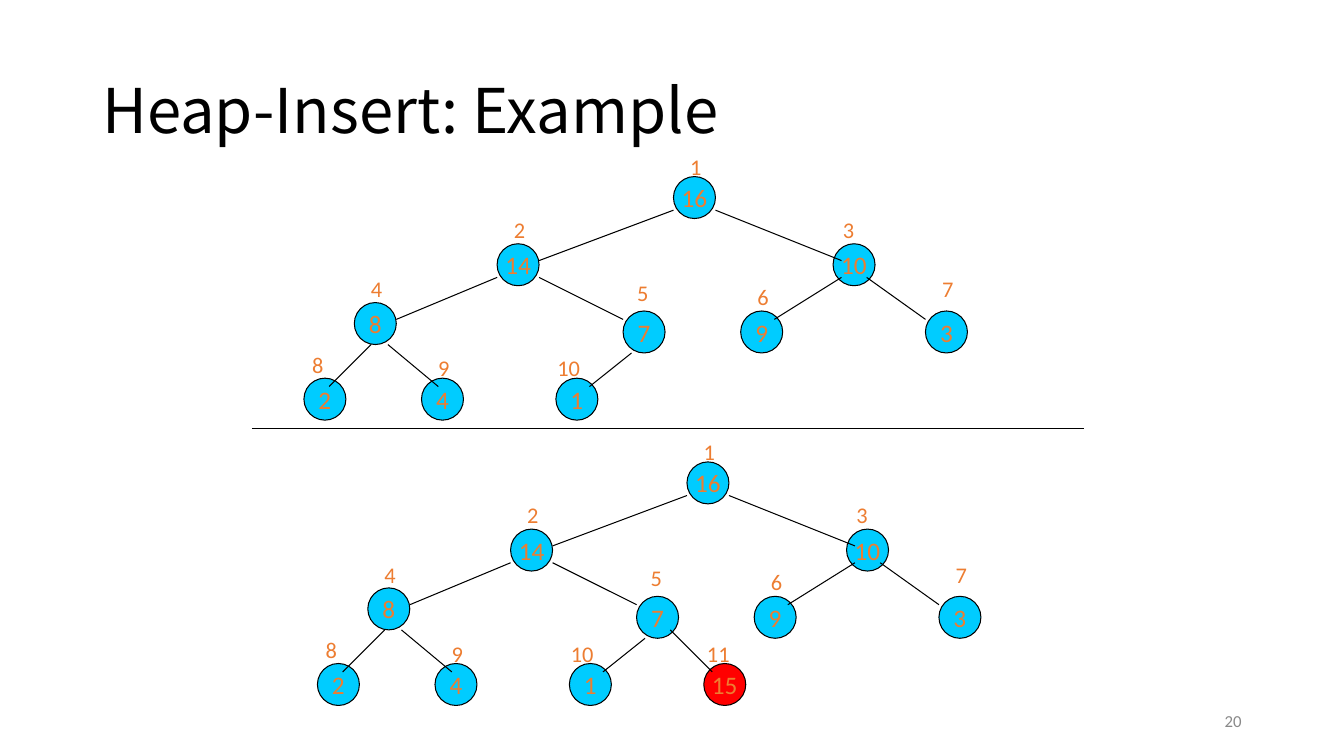
"""Build the Heap-Insert example slide: a heap before and after inserting 15."""
import lxml.etree
import pptx
import pptx.dml.color
import pptx.enum.shapes
import pptx.enum.text
import pptx.oxml.ns
import pptx.util

Cm = pptx.util.Cm
Pt = pptx.util.Pt
ALIGN = pptx.enum.text.PP_ALIGN
ANCHOR = pptx.enum.text.MSO_ANCHOR
STEP = 2.54 / 12
NODE_SIZE = 5 * STEP
COLORS = {"node": "00CCFF", "new": "FF0000", "line": "000000",
          "title": "000000", "label": "ED7D31", "page": "898989"}

HEAP_NODES = [("16", 44, 0), ("14", 23, 8), ("10", 63, 8), ("8", 6, 15),
              ("7", 38, 16), ("2", 0, 24), ("4", 14, 24), ("1", 30, 24),
              ("9", 52, 16), ("3", 74, 16)]
HEAP_EDGES = [(44, 4, 28, 10), (49, 4, 64, 10), (23, 12, 11, 17),
              (8, 20, 3, 25), (10, 20, 16, 25), (28, 12, 38, 17),
              (39, 21, 34, 25), (64, 12, 56, 17), (67, 12, 74, 17)]
HEAP_LABELS = [(44.8, -3.4), (23.8, 4.1), (63, 4.1), (6.8, 11.2), (38.5, 11.6),
               (52.8, 12.1), (74.8, 11.2), (-0.2, 20.2), (14.8, 20.6), (29, 20.6)]
NEW_NODE = ("15", 46, 24)
NEW_EDGE = (42, 20, 47, 25)
NEW_LABEL = (45.2, 20.6)


class Deck:
    """Hold the style and the shapes collection being drawn on."""

    def __init__(self, prs):
        self.s = prs.slides.add_slide(prs.slide_layouts[6])
        self.shapes = self.s.shapes

    def rgb(self, color):
        return pptx.dml.color.RGBColor.from_string(COLORS[color])

    def set_text(self, sp, text, size, color, align, anchor, font="Calibri", wrap=False):
        tf = sp.text_frame
        tf.text = text
        tf.word_wrap = wrap
        tf.vertical_anchor = anchor
        p = tf.paragraphs[0]
        p.alignment = align
        r = p.runs[0]
        r.font.size = Pt(size)
        r.font.name = font
        r.font.color.rgb = self.rgb(color)
        return tf

    def text(self, text, x, y, w, h, size, color, align=ALIGN.LEFT,
             anchor=ANCHOR.MIDDLE, **style):
        sp = self.shapes.add_textbox(Cm(x), Cm(y), Cm(w), Cm(h))
        return self.set_text(sp, text, size, color, align, anchor, **style)

    def node(self, text, x, y, color="node"):
        sp = self.shapes.add_shape(pptx.enum.shapes.MSO_SHAPE.OVAL, Cm(x), Cm(y),
                                   Cm(NODE_SIZE), Cm(NODE_SIZE))
        sp.shadow.inherit = False
        sp.fill.solid()
        sp.fill.fore_color.rgb = self.rgb(color)
        sp.line.color.rgb = self.rgb("line")
        sp.line.width = Pt(0.75)
        self.set_text(sp, text, 18, "label", ALIGN.CENTER, ANCHOR.MIDDLE)

    def line(self, x1, y1, x2, y2):
        sp = self.shapes.add_connector(pptx.enum.shapes.MSO_CONNECTOR.STRAIGHT,
                                       Cm(x1), Cm(y1), Cm(x2), Cm(y2))
        sp.line.color.rgb = self.rgb("line")
        sp.line.width = Pt(0.75)
        lxml.etree.SubElement(sp.element.spPr, pptx.oxml.ns.qn("a:effectLst"))

    def label(self, index, x, y):
        tf = self.text(str(index), x, y, 0.81 if index < 10 else 1.09, 0.94,
                       16, "label", anchor=ANCHOR.TOP)
        tf.auto_size = pptx.enum.text.MSO_AUTO_SIZE.SHAPE_TO_FIT_TEXT

    def heap(self, left, top, inserted=False):
        self.shapes = self.s.shapes.add_group_shape().shapes

        def at(*grid):
            return [(left, top)[i % 2] + v * STEP for i, v in enumerate(grid)]

        for key, *spot in HEAP_NODES:
            self.node(key, *at(*spot))
        if inserted:
            key, *spot = NEW_NODE
            self.node(key, *at(*spot), color="new")
        for edge in HEAP_EDGES + [NEW_EDGE] * inserted:
            self.line(*at(*edge))
        for index, spot in enumerate(HEAP_LABELS + [NEW_LABEL] * inserted, 1):
            self.label(index, *at(*spot))
        self.shapes = self.s.shapes


prs = pptx.Presentation()
prs.slide_width, prs.slide_height = Cm(33.87), Cm(19.05)
deck = Deck(prs)
deck.text("20", 23.92, 17.66, 7.62, 1.01, 12, "page", ALIGN.RIGHT, wrap=True)
title = deck.text("Heap-Insert: Example", 2.33, 1.01, 29.21, 3.68, 44, "title",
                  font="Noto Sans CJK SC", wrap=True)
title.paragraphs[0].line_spacing = 0.9
deck.heap(7.66, 4.45)
deck.line(6.35, 10.8, 27.31, 10.8)
deck.heap(8, 11.64, inserted=True)
prs.save("out.pptx")
